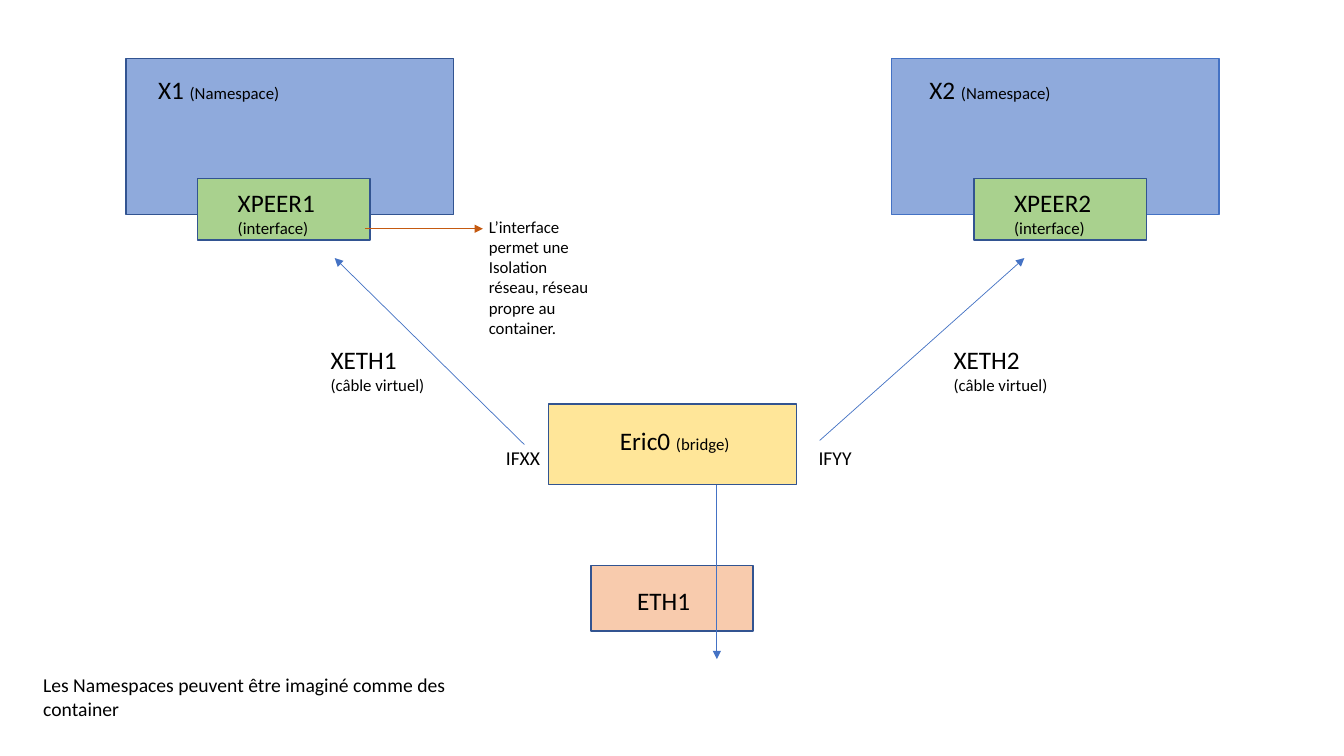
from pptx import Presentation
from pptx.dml.color import RGBColor
from pptx.enum.dml import MSO_LINE
from pptx.enum.shapes import MSO_CONNECTOR, MSO_SHAPE
from pptx.oxml.ns import qn
from pptx.util import Inches, Pt
from lxml import etree

RECT = MSO_SHAPE.RECTANGLE
STRAIGHT = MSO_CONNECTOR.STRAIGHT
SOLID = MSO_LINE.SOLID
FONT = "Calibri"
BLACK = RGBColor(0, 0, 0)
BLUE = RGBColor(0x8F, 0xAA, 0xDC)
GREEN = RGBColor(0xA9, 0xD1, 0x8E)
YELLOW = RGBColor(0xFF, 0xE6, 0x99)
PEACH = RGBColor(0xF8, 0xCB, 0xAD)
NAVY = RGBColor(0x32, 0x54, 0x91)
ACCENT = RGBColor(0x44, 0x72, 0xC4)
ORANGE = RGBColor(0xC5, 0x5A, 0x11)


def add_box(slide, x, y, w, h, fill, edge=NAVY):
    box = slide.shapes.add_shape(RECT, Inches(x), Inches(y), Inches(w), Inches(h))
    box.shadow.inherit = False
    box.fill.solid()
    box.fill.fore_color.rgb = fill
    box.line.color.rgb = edge
    box.line.width = Pt(1)


def add_label(slide, x, y, w, h, text, size=18, note="", color=BLACK):
    frame = slide.shapes.add_textbox(Inches(x), Inches(y), Inches(w), Inches(h)).text_frame
    frame.word_wrap = True
    para = frame.paragraphs[0]
    for part, points in ((text, size), (note, 12)):
        if part:
            run = para.add_run()
            run.text = part
            run.font.name = FONT
            run.font.size = Pt(points)
            run.font.color.rgb = color


def add_arrow(slide, x1, y1, x2, y2, color=ACCENT):
    arrow = slide.shapes.add_connector(
        STRAIGHT, Inches(x1), Inches(y1), Inches(x2), Inches(y2))
    arrow.line.color.rgb = color
    arrow.line.width = Pt(0.5)
    arrow.line.dash_style = SOLID
    etree.SubElement(arrow.line._get_or_add_ln(), qn("a:tailEnd"), type="triangle")
    etree.SubElement(arrow._element.spPr, qn("a:effectLst"))


def main():
    deck = Presentation()
    deck.slide_width = Inches(13.33)
    deck.slide_height = Inches(7.5)
    slide = deck.slides.add_slide(deck.slide_layouts[6])

    spaces = ((1.25, 1.47, "X1 ", NAVY), (8.84, 9.12, "X2 ", ACCENT))
    for left, inner, name, edge in spaces:
        add_box(slide, left, 0.58, 3.25, 1.55, BLUE, edge)
        add_label(slide, inner, 0.69, 2.26, 0.4, name, note="(Namespace)")

    peers = ((1.96, 2.26, 1.43, "XPEER1 "), (9.66, 9.96, 1.01, "XPEER2 "))
    for left, inner, width, name in peers:
        add_box(slide, left, 1.77, 1.71, 0.61, GREEN)
        add_label(slide, inner, 1.81, width, 0.61, name, note="(interface)")

    add_box(slide, 5.44, 4.01, 2.46, 0.8, YELLOW)
    add_label(slide, 6.05, 4.17, 1.31, 0.4, "Eric0 ", note="(bridge)")
    add_box(slide, 5.86, 5.61, 1.61, 0.65, PEACH)
    add_label(slide, 6.22, 5.76, 0.89, 0.4, "ETH1")

    add_arrow(slide, 8.13, 4.37, 10.16, 2.56)
    add_arrow(slide, 5.2, 4.41, 3.32, 2.56)
    add_arrow(slide, 7.11, 4.81, 7.11, 6.54)

    for left, name in ((3.18, "XETH1 "), (9.36, "XETH2 ")):
        add_label(slide, left, 3.37, 1.2, 0.61, name, note="(câble virtuel)")
    for left, name in ((4.92, "IFXX"), (8.02, "IFYY")):
        add_label(slide, left, 4.37, 0.6, 0.34, name, size=14)

    add_label(slide, 0.33, 6.63, 4.2, 0.57,
              "Les Namespaces peuvent être imaginé comme des container", size=14)
    add_arrow(slide, 3.62, 2.27, 4.79, 2.27, ORANGE)
    add_label(slide, 4.75, 2.1, 1.3, 1.31,
              "L’interface permet une Isolation réseau, réseau propre au container.",
              size=12)
    deck.save("out.pptx")


main()
